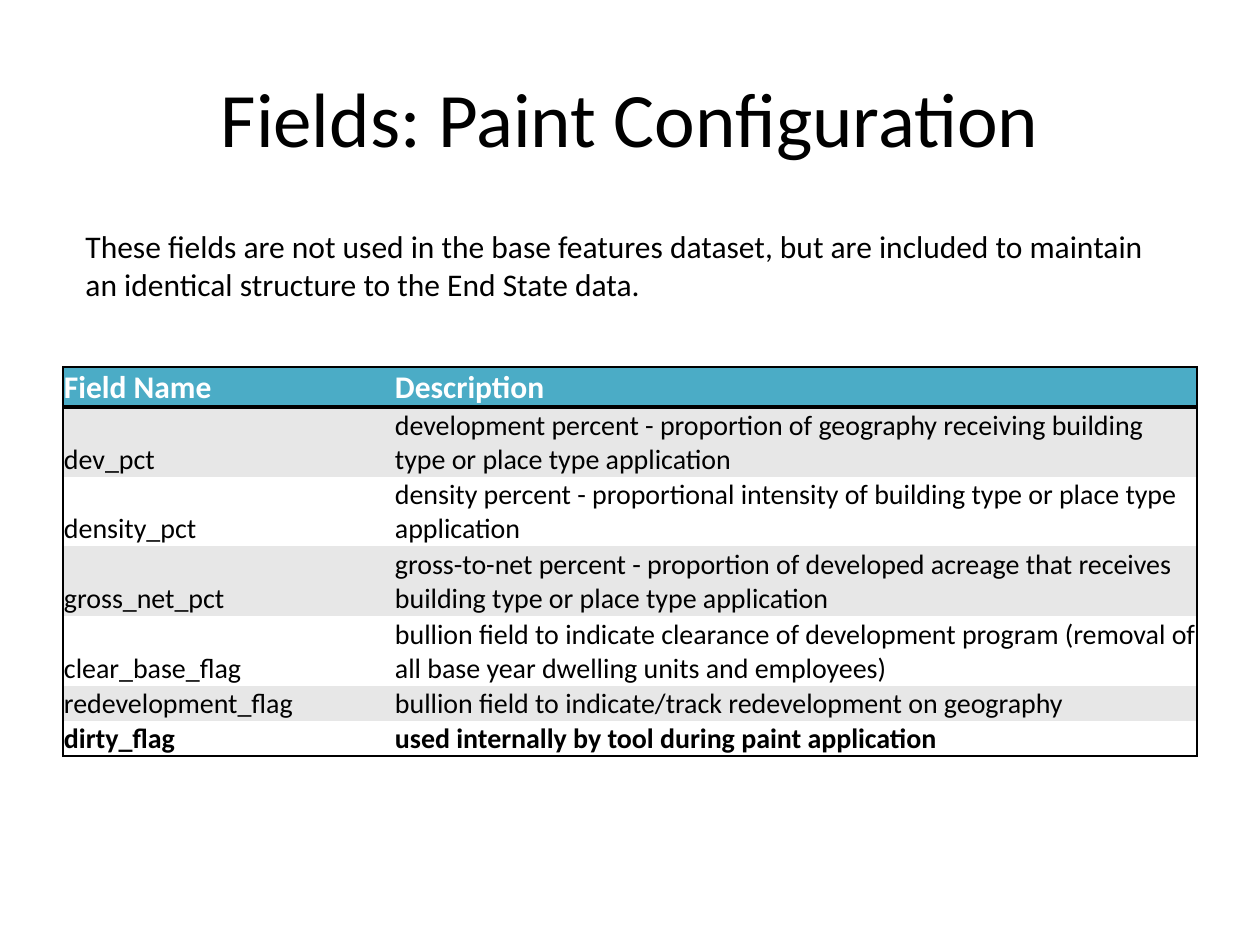
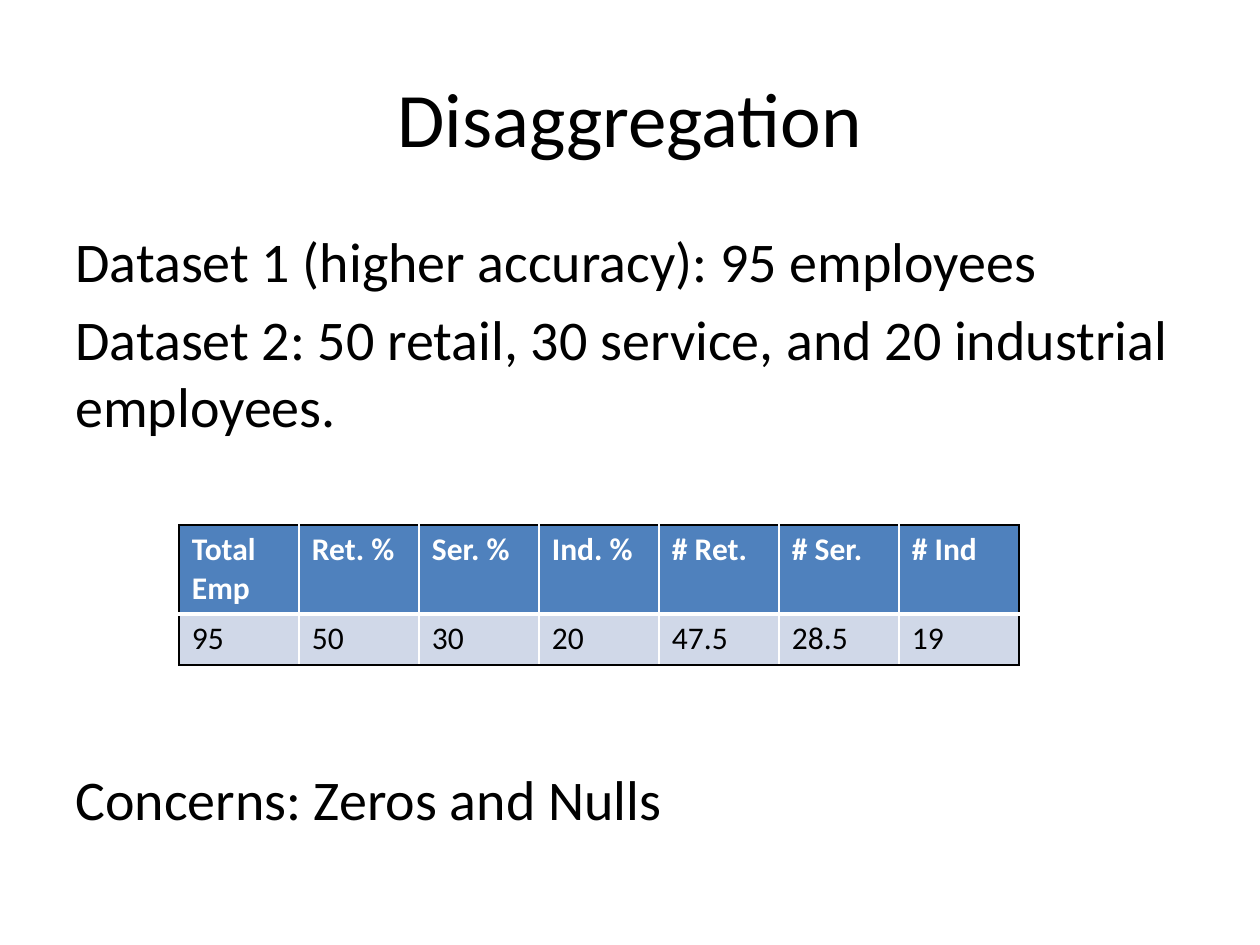
import pptx
import pptx.util
import pptx.dml.color
import pptx.enum.text
import pptx.oxml
import pptx.oxml.ns
from lxml import etree

FONT = "Calibri"
COLORS = {
    "black": "000000", "white": "FFFFFF", "teal": "4BACC6",
    "gray": "E7E7E7", "blue": "4F81BD", "pale_blue": "D0D8E8",
}
SLIDE_SIZE = (1260, 945)
TITLE_BOX = (63, 38, 1134, 157)
OUTER = ("black", 1)
ANCHOR = pptx.enum.text.MSO_ANCHOR

PAINT = {
    "title": "Fields: Paint Configuration",
    "text_box": (73, 221, 1103, 90),
    "text_size": 18,
    "paragraphs": [
        ("These fields are not used in the base features dataset, but are included "
         "to maintain an identical structure to the End State data.", 0),
    ],
    "table": {
        "origin": (63, 367),
        "columns": [331, 803],
        "heights": [40, 70, 69, 70, 70, 35, 35],
        "margins": (1, 1, 1, 0),
        "anchor": ANCHOR.BOTTOM,
        "header_fill": "teal",
        "band_fills": ["gray", "white"],
        "size": 16,
        "bold_rows": [0, 6],
        "inner": None,
        "header_rule": ("black", 2),
        "rows": [
            ("Field Name", "Description"),
            ("dev_pct", "development percent - proportion of geography receiving "
                        "building type or place type application"),
            ("density_pct", "density percent - proportional intensity of building "
                            "type or place type application"),
            ("gross_net_pct", "gross-to-net percent - proportion of developed acreage "
                              "that receives building type or place type application"),
            ("clear_base_flag", "bullion field to indicate clearance of development program "
                                "(removal of all base year dwelling units and employees)"),
            ("redevelopment_flag", "bullion field to indicate/track redevelopment on geography"),
            ("dirty_flag", "used internally by tool during paint application"),
        ],
    },
}

DISAGGREGATION = {
    "title": "Disaggregation",
    "text_box": (63, 220, 1134, 624),
    "text_size": 32,
    "paragraphs": [
        ("Dataset 1 (higher accuracy): 95 employees", 6.4),
        ("Dataset 2: 50 retail, 30 service, and 20 industrial employees.", 6.4),
        ("Concerns: Zeros and Nulls", 186),
    ],
    "table": {
        "origin": (179, 525),
        "columns": [120] * 7,
        "heights": [89, 51],
        "margins": (13, 6, 13, 6),
        "anchor": ANCHOR.TOP,
        "header_fill": "blue",
        "band_fills": ["pale_blue"],
        "size": 18,
        "bold_rows": [0],
        "inner": ("white", 1),
        "header_rule": ("white", 3),
        "rows": [
            ("Total Emp", "Ret. %", "Ser. %", "Ind. %", "# Ret.", "# Ser.", "# Ind"),
            ("95", "50", "30", "20", "47.5", "28.5", "19"),
        ],
    },
}


def px(n):
    return pptx.util.Emu(round(n * 914400 / 126))


def rgb(name):
    return pptx.dml.color.RGBColor.from_string(COLORS[name])


def add_run(p, text, size, color="black", bold=False):
    r = p.add_run()
    r.text = text
    r.font.name = FONT
    r.font.size = pptx.util.Pt(size)
    r.font.bold = bold
    r.font.color.rgb = rgb(color)


def set_title(s, text):
    sp = s.shapes.title
    sp.left, sp.top, sp.width, sp.height = map(px, TITLE_BOX)
    tf = sp.text_frame
    tf.vertical_anchor = ANCHOR.MIDDLE
    p = tf.paragraphs[0]
    p.alignment = pptx.enum.text.PP_ALIGN.CENTER
    add_run(p, text, 44)


def add_text(s, box, paragraphs, size):
    tf = s.shapes.add_textbox(*map(px, box)).text_frame
    tf.word_wrap = True
    for i, (text, space) in enumerate(paragraphs):
        p = tf.add_paragraph() if i else tf.paragraphs[0]
        p.space_before = pptx.util.Pt(space)
        add_run(p, text, size)


def set_borders(cell, borders):
    tc_pr = cell._tc.get_or_add_tcPr()
    qn = pptx.oxml.ns.qn
    for i, (side, line) in enumerate(zip("LRTB", borders)):
        ln = etree.Element(qn("a:ln" + side))
        if line:
            color, width = line
            ln.set("w", str(pptx.util.Pt(width)))
            fill = etree.SubElement(ln, qn("a:solidFill"))
            etree.SubElement(fill, qn("a:srgbClr"), val=COLORS[color])
        else:
            etree.SubElement(ln, qn("a:noFill"))
        tc_pr.insert(i, ln)


def add_table(s, t):
    rows, columns, heights = t["rows"], t["columns"], t["heights"]
    box = (*t["origin"], sum(columns), sum(heights))
    table = s.shapes.add_table(len(rows), len(columns), *map(px, box)).table
    table.horz_banding = False
    for column, width in zip(table.columns, columns):
        column.width = px(width)
    for row, height in zip(table.rows, heights):
        row.height = px(height)

    across = [OUTER] + [t["inner"]] * (len(columns) - 1) + [OUTER]
    down = [OUTER, t["header_rule"]] + [t["inner"]] * (len(rows) - 2) + [OUTER]
    bands = t["band_fills"]
    for i, values in enumerate(rows):
        fill = bands[(i - 1) % len(bands)] if i else t["header_fill"]
        for j, text in enumerate(values):
            cell = table.cell(i, j)
            cell.margin_left, cell.margin_top, cell.margin_right, cell.margin_bottom = map(px, t["margins"])
            cell.vertical_anchor = t["anchor"]
            cell.fill.solid()
            cell.fill.fore_color.rgb = rgb(fill)
            set_borders(cell, (across[j], across[j + 1], down[i], down[i + 1]))
            add_run(cell.text_frame.paragraphs[0], text, t["size"] if i else 18,
                    "black" if i else "white", i in t["bold_rows"])


def main():
    prs = pptx.Presentation()
    prs.slide_width, prs.slide_height = map(px, SLIDE_SIZE)
    for content in (PAINT, DISAGGREGATION):
        s = prs.slides.add_slide(prs.slide_layouts[5])
        set_title(s, content["title"])
        add_text(s, content["text_box"], content["paragraphs"], content["text_size"])
        add_table(s, content["table"])
    prs.save("out.pptx")


if __name__ == "__main__":
    main()
